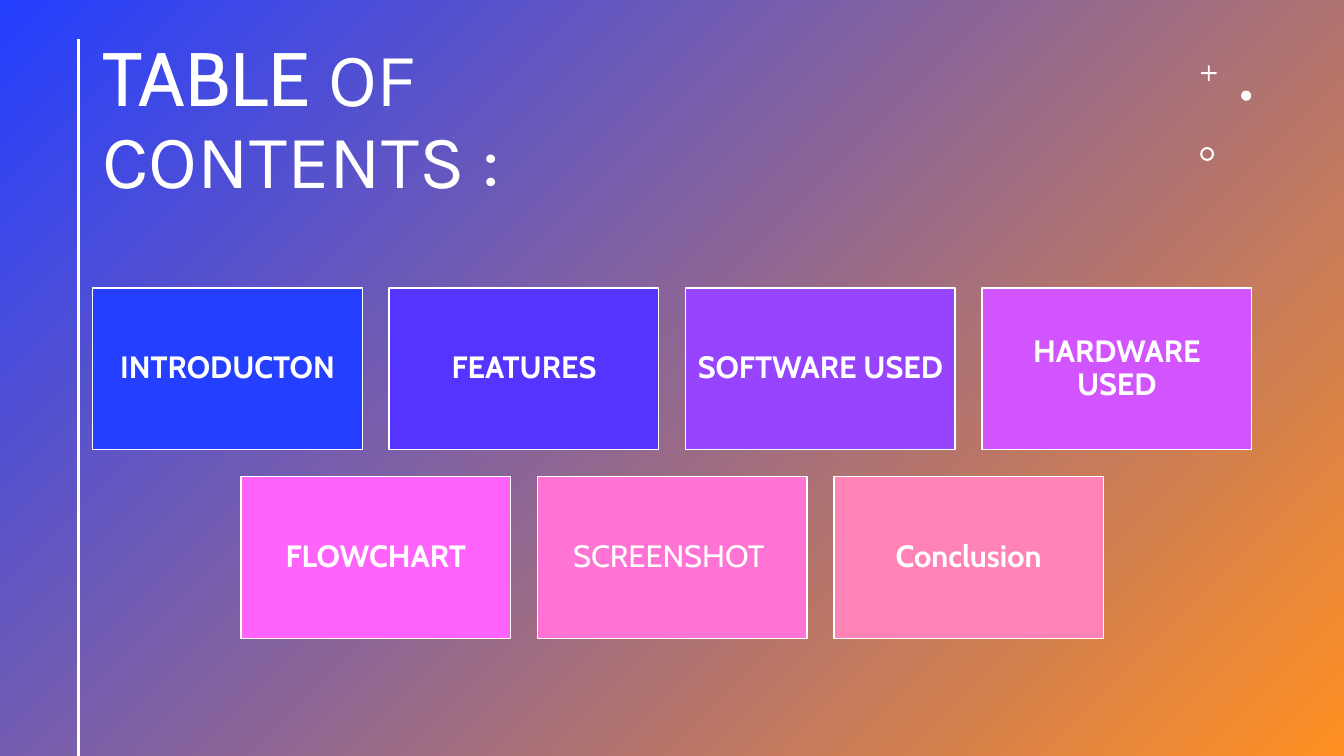
from pptx import Presentation
from pptx.dml.color import RGBColor
from pptx.enum.shapes import MSO_CONNECTOR, MSO_SHAPE
from pptx.enum.text import MSO_ANCHOR, PP_ALIGN
from pptx.oxml.ns import qn
from pptx.util import Pt

W, H = 960, 540
COLORS = {
    "white": "FFFFFF", "blue": "243FFF", "orange": "FF9022",
    "indigo": "5534FF", "violet": "9744FF", "orchid": "D154FF",
    "magenta": "FF63FC", "pink": "FF73D5", "rose": "FF83B6",
}
CARD_W, CARD_H, GAP = 192.5, 115.5, 19.25
CARD_ROWS = [
    [("INTRODUCTON", "blue", True), ("FEATURES", "indigo", True),
     ("SOFTWARE USED", "violet", True), ("HARDWARE USED", "orchid", True)],
    [("FLOWCHART", "magenta", True), ("SCREENSHOT ", "pink", False),
     ("Conclusion", "rose", True)],
]


def rgb(name):
    return RGBColor.from_string(COLORS[name])


def add_run(p, text, **font):
    r = p.add_run()
    r.text = text
    for key, value in font.items():
        setattr(r.font, key, value)
    r.font.color.rgb = rgb("white")


def add_solid(slide, kind, box, fill, line=None):
    sp = slide.shapes.add_shape(kind, *map(Pt, box))
    sp.shadow.inherit = False
    sp.fill.solid()
    sp.fill.fore_color.rgb = rgb(fill)
    if line:
        sp.line.color.rgb = rgb(line)
        sp.line.width = Pt(1)
    else:
        sp.line.fill.background()
    return sp


def add_backdrop(slide, box):
    sp = add_solid(slide, MSO_SHAPE.RECTANGLE, box, "blue")
    sp.fill.gradient()
    sp.fill.gradient_angle = 315
    for stop, name, position in zip(sp.fill.gradient_stops, ("blue", "orange"), (0, 1)):
        stop.color.rgb = rgb(name)
        stop.position = position


def add_rule(slide, x, top, bottom):
    line = slide.shapes.add_connector(
        MSO_CONNECTOR.STRAIGHT, Pt(x), Pt(top), Pt(x), Pt(bottom))
    line.line.color.rgb = rgb("white")
    line.line.width = Pt(2)
    sppr = line._element.spPr
    sppr.append(sppr.makeelement(qn("a:effectLst"), {}))


def add_title(slide, box):
    tf = slide.shapes.add_textbox(*map(Pt, box)).text_frame
    tf.word_wrap = True
    tf.vertical_anchor = MSO_ANCHOR.TOP
    p = tf.paragraphs[0]
    p.line_spacing = 0.9
    add_run(p, "TABLE", name="Cabin", size=Pt(54))
    add_run(p, "\u00a0OF\u00a0".replace("\u00a0", chr(160)), name="Karla", size=Pt(54))
    p.add_line_break()
    add_run(p, "CONTENTS :", name="Karla", size=Pt(54))


def add_ornaments(slide, box):
    """Plus, dot and ring, placed from the box's top left corner."""
    left, top = box[:2]
    for kind, dx, dy, size, adjust in (
            (MSO_SHAPE.CROSS, 0.75, 0, 11, 0.44),
            (MSO_SHAPE.OVAL, 29.25, 18, 7.25, None),
            (MSO_SHAPE.DONUT, 0, 58.25, 10, 0.15)):
        sp = add_solid(slide, kind, (left + dx, top + dy, size, size), "white")
        if adjust:
            sp.adjustments[0] = adjust


def add_card(slide, box, label, fill, bold):
    sp = add_solid(slide, MSO_SHAPE.RECTANGLE, box, fill, "white")
    tf = sp.text_frame
    for key in ("margin_left", "margin_top", "margin_right", "margin_bottom"):
        setattr(tf, key, Pt(6.5))
    tf.word_wrap = True
    tf.vertical_anchor = MSO_ANCHOR.MIDDLE
    p = tf.paragraphs[0]
    p.alignment = PP_ALIGN.CENTER
    p.line_spacing = 0.9
    add_run(p, label, name="Cabin", size=Pt(22), bold=bold)


def add_cards(slide, box):
    """Rows of equal cards, each row centred in the box."""
    left, top, width, _ = box
    for i, row in enumerate(CARD_ROWS):
        row_w = len(row) * (CARD_W + GAP) - GAP
        x = left + (width - row_w) / 2
        y = top + i * (CARD_H + GAP)
        for j, card in enumerate(row):
            add_card(slide, (x + j * (CARD_W + GAP), y, CARD_W, CARD_H), *card)


def main():
    prs = Presentation()
    prs.slide_width, prs.slide_height = Pt(W), Pt(H)
    slide = prs.slides.add_slide(prs.slide_layouts[6])
    add_backdrop(slide, (0, 0, W, H))
    add_title(slide, (66.25, 26, 772, 127))
    add_rule(slide, 56, 28, H)
    add_ornaments(slide, (857.25, 46.75, 37, 69))
    add_cards(slide, (66.25, 205.75, 827.75, 250.25))
    prs.save("out.pptx")


if __name__ == "__main__":
    main()
